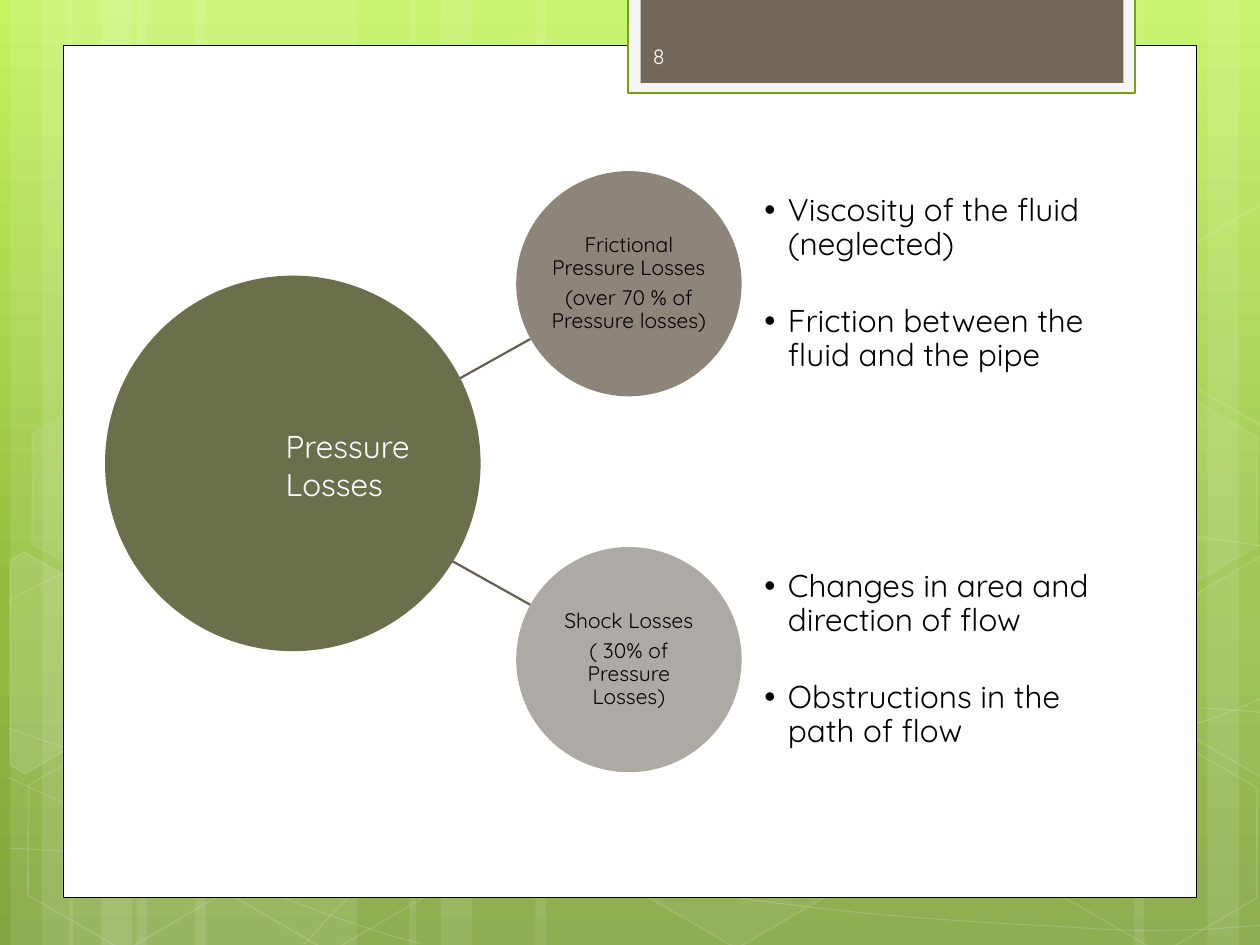
from copy import deepcopy
from dataclasses import dataclass
from math import cos, radians, sin
from typing import NamedTuple, Optional

from lxml.etree import SubElement
from pptx import Presentation
from pptx.dml.color import RGBColor
from pptx.enum.shapes import MSO_CONNECTOR, MSO_SHAPE
from pptx.enum.text import MSO_ANCHOR, MSO_AUTO_SIZE, PP_ALIGN
from pptx.oxml.ns import qn
from pptx.util import Pt


@dataclass(frozen=True)
class Theme:
    font: str = "Quicksand"
    white: str = "FFFFFF"
    black: str = "000000"
    number: str = "FEFEFE"
    frame: str = "F5F5F5"
    green: str = "74A510"
    tab: str = "71685A"
    link: str = "675E52"
    root: str = "6C6F4C"
    friction: str = "8D8579"
    shock: str = "ADAAA5"
    gradient: tuple = ((0, "C3F35F"), (0.62, "93BF3F"), (1, "81A53E"))
    small: float = 12
    large: float = 18


class Box(NamedTuple):
    left: float
    top: float
    width: float
    height: float

    def lengths(self) -> list:
        return [Pt(value) for value in self]


class Paint(NamedTuple):
    fill: Optional[str] = None
    fill_alpha: int = 100
    line: Optional[str] = None
    width: float = 1
    line_alpha: int = 100


class Hexagon(NamedTuple):
    left: float
    top: float
    fill_alpha: int
    line_alpha: int


class CutHexagon(NamedTuple):
    center: tuple
    points: tuple
    rise: float
    fill_alpha: int


class Branch(NamedTuple):
    top: float
    color: str
    link_start: float
    link_end: float
    label: tuple
    causes: tuple


THEME = Theme()
SLIDE_WIDTH, SLIDE_HEIGHT = 720, 540
HEXAGON_ANGLE = 30

BARS = ((78, 126), (6, 36), (24, 60), (111.6, 126), (39.6, 36), (57.6, 60),
        (528, 126), (690, 36), (648, 60), (306, 222), (234, 36), (252, 60))

CURVES = (
    ((5, 484.6), (43.9, 486.7), (82.8, 488.9), (136.8, 488.2), (190.8, 487.4), (257.8, 486),
     (329.8, 478.8), (401.8, 471.6), (504, 457.9), (570.2, 444.2), (635.8, 430.6),
     (703.4, 409), (725, 396.7)),
    ((5, 343.4), (25.9, 331.9), (46.8, 321.1), (87.1, 310.3), (128.2, 299.5), (186.5, 283.7),
     (249.8, 278.6), (313.9, 273.6), (391.7, 272.9), (470.9, 278.6), (550.1, 284.4),
     (681.8, 306.7), (725, 312.5)),
    ((4.3, 444.2), (91.4, 483.8), (177.8, 523.4), (240.5, 539.3)),
    ((5, 416.2), (27.4, 424.1), (50.4, 432), (92.2, 443.5), (133.9, 454.3), (196.6, 472.3),
     (257, 484.6), (316.8, 496.8), (392.4, 509.8), (452.2, 517), (511.9, 524.9), (576, 527.8),
     (614.2, 529.9), (651.6, 532.8), (661.7, 531.4), (680.4, 531.4), (699.1, 530.6),
     (712.1, 529.2), (725, 528.5)),
    ((174.2, 539.3), (187.2, 524.9), (200.2, 510.5), (217.4, 497.5), (234.7, 484.6),
     (259.2, 470.2), (279.4, 460.1), (299.5, 450), (311.8, 445.7), (338.4, 438.5),
     (364.3, 431.3), (412.6, 421.2), (437.8, 416.2), (463.7, 411.1), (467.3, 411.1),
     (489.6, 409.7), (511.9, 407.5), (547.2, 405.4), (571.7, 404.6), (597.6, 403.9),
     (637.9, 404.6), (637.9, 404.6), (637.9, 404.6), (686.2, 404.6), (686.2, 404.6),
     (699.1, 405.4), (711.4, 406.1), (717.8, 406.8), (724.3, 407.5), (722.2, 406.8),
     (724.3, 407.5)),
)

HEXAGONS = (
    Hexagon(240.5, 25.9, 4, 8), Hexagon(357.8, 424.1, 6, 12), Hexagon(7.9, 425.5, 0, 12),
    Hexagon(10.1, 224.6, 7, 8), Hexagon(125.3, 426.2, 0, 12), Hexagon(542.2, 326.2, 10, 12),
    Hexagon(600.5, 427, 0, 12), Hexagon(600.5, 226.1, 7, 8),
)
LEFT_EDGE = ((5.8, 320.4), (13.7, 315.4), (69.1, 347), (68.4, 410.4), (14.4, 442.1), (5.8, 437))
RIGHT_EDGE = ((666.7, 349.2), (720.7, 317.5), (726.5, 321.1), (726.5, 441.4), (721.4, 444.2),
              (666.7, 412.6))
CUT_HEXAGONS = (
    CutHexagon((25.9, 385.2), LEFT_EDGE, 0, 10),
    CutHexagon((709.2, 374.4), RIGHT_EDGE, 0, 4),
    CutHexagon((709.2, 374.4), RIGHT_EDGE, 200.8, 0),
)

BRANCHES = (
    Branch(97.8, THEME.friction, 227.5, 193.7,
           ("Frictional Pressure Losses", "(over 70 % of Pressure losses)"),
           ("Viscosity of the fluid (neglected)", "Friction between the fluid and the pipe")),
    Branch(312.6, THEME.shock, 311.8, 345.6,
           ("Shock Losses", "( 30% of Pressure Losses)"),
           ("Changes in area and direction of flow", "Obstructions in the path of flow")),
)


def apply_color(fill, parent, color: str, alpha: int) -> None:
    fill.solid()
    fill.fore_color.rgb = RGBColor.from_string(color)
    if alpha < 100:
        element = parent.find(qn("a:solidFill")).find(qn("a:srgbClr"))
        SubElement(element, qn("a:alpha"), val=str(alpha * 1000))


def paint_shape(shape, paint: Paint) -> None:
    shape.shadow.inherit = False
    properties = shape.element.spPr
    if paint.fill and paint.fill_alpha:
        apply_color(shape.fill, properties, paint.fill, paint.fill_alpha)
    else:
        shape.fill.background()
    if paint.line:
        shape.line.width = Pt(paint.width)
        apply_color(shape.line.fill, properties.find(qn("a:ln")), paint.line, paint.line_alpha)
    else:
        shape.line.fill.background()


def draw_shape(slide, kind: MSO_SHAPE, box: Box, paint: Paint):
    shape = slide.shapes.add_shape(kind, *box.lengths())
    paint_shape(shape, paint)
    return shape


def draw_outline(slide, points, paint: Paint, close: bool):
    vertices = [(Pt(x), Pt(y)) for x, y in points]
    builder = slide.shapes.build_freeform(*vertices[0], scale=1.0)
    builder.add_line_segments(vertices[1:], close=close)
    shape = builder.convert_to_shape()
    paint_shape(shape, paint)
    return shape


def draw_curve(slide, points) -> None:
    paint = Paint(line=THEME.white, width=0.5, line_alpha=20)
    shape = draw_outline(slide, points, paint, False)
    segments = list(shape.element.iter(qn("a:lnTo")))
    outline = segments[0].getparent()
    for first in range(0, len(segments), 3):
        curve = SubElement(outline, qn("a:cubicBezTo"))
        for segment in segments[first:first + 3]:
            curve.append(segment[0])
            outline.remove(segment)


def draw_cut_hexagon(slide, hexagon: CutHexagon) -> None:
    center_x, center_y = hexagon.center
    cosine, sine = cos(radians(HEXAGON_ANGLE)), sin(radians(HEXAGON_ANGLE))
    points = []
    for x, y in hexagon.points:
        across, down = x - center_x, y - center_y
        points.append((center_x + across * cosine + down * sine,
                       center_y - across * sine + down * cosine - hexagon.rise))
    paint = Paint(THEME.white, hexagon.fill_alpha, THEME.white, 1, 12)
    draw_outline(slide, points, paint, True).rotation = HEXAGON_ANGLE


def prepare_frame(shape, inset: float, anchor: MSO_ANCHOR):
    frame = shape.text_frame
    frame.word_wrap = True
    frame.auto_size = MSO_AUTO_SIZE.NONE
    frame.vertical_anchor = anchor
    frame.margin_left = frame.margin_right = Pt(inset)
    frame.margin_top = frame.margin_bottom = Pt(min(inset, 3.6))
    return frame


def write_paragraphs(frame, texts, size: float, color: str, gap: float = 0, spacing: float = 1,
                     alignment: PP_ALIGN = PP_ALIGN.LEFT, bullet_indent: float = 0) -> None:
    for index, text in enumerate(texts):
        paragraph = frame.add_paragraph() if index else frame.paragraphs[0]
        paragraph.alignment = alignment
        paragraph.line_spacing = spacing
        paragraph.space_before = Pt(gap if index else 0)
        if bullet_indent:
            properties = paragraph._p.get_or_add_pPr()
            properties.set("marL", str(Pt(bullet_indent)))
            properties.set("indent", str(-Pt(bullet_indent)))
            SubElement(properties, qn("a:buChar"), char="•")
        run = paragraph.add_run()
        run.text = text
        run.font.name = THEME.font
        run.font.size = Pt(size)
        run.font.color.rgb = RGBColor.from_string(color)


def draw_text(slide, box: Box, text: str, size: float, color: str, anchor: MSO_ANCHOR) -> None:
    shape = slide.shapes.add_textbox(*box.lengths())
    write_paragraphs(prepare_frame(shape, 7.2, anchor), (text,), size, color)


def draw_background(slide) -> None:
    fill = slide.background.fill
    fill.gradient()
    fill.gradient_angle = 270
    first_stop = next(slide.element.iter(qn("a:gs")))
    first_stop.addnext(deepcopy(first_stop))
    for stop, (position, color) in zip(fill.gradient_stops, THEME.gradient):
        stop.position = position
        stop.color.rgb = RGBColor.from_string(color)
    for left, width in BARS:
        draw_shape(slide, MSO_SHAPE.RECTANGLE, Box(left, 0, width, SLIDE_HEIGHT),
                   Paint(THEME.white, 10))
    for curve in CURVES:
        draw_curve(slide, curve)
    for hexagon in HEXAGONS:
        shape = draw_shape(slide, MSO_SHAPE.HEXAGON, Box(hexagon.left, hexagon.top, 126, 109.4),
                           Paint(THEME.white, hexagon.fill_alpha, THEME.white, 1, hexagon.line_alpha))
        shape.adjustments[0] = 0.285
        shape.rotation = HEXAGON_ANGLE
    for cut_hexagon in CUT_HEXAGONS:
        draw_cut_hexagon(slide, cut_hexagon)


def draw_panel(slide) -> None:
    for box, paint in (
        (Box(36, 25.9, 648, 487.2), Paint(THEME.white, line=THEME.black, width=0.5)),
        (Box(359, -1.4, 289.6, 54.7), Paint(THEME.frame, line=THEME.green, width=1.25)),
        (Box(366.1, -1.4, 275.9, 48.8), Paint(THEME.tab)),
    ):
        draw_shape(slide, MSO_SHAPE.RECTANGLE, box, paint)


def draw_link(slide, branch: Branch) -> None:
    link = slide.shapes.add_connector(MSO_CONNECTOR.STRAIGHT, Pt(242.6), Pt(branch.link_start),
                                      Pt(303.1), Pt(branch.link_end))
    link.line.width = Pt(1.25)
    link.line.color.rgb = RGBColor.from_string(THEME.link)
    SubElement(link.element.spPr, qn("a:effectLst"))


def draw_branch(slide, branch: Branch, causes_list) -> None:
    circle = draw_shape(slide, MSO_SHAPE.OVAL, Box(295, branch.top, 128.8, 128.7),
                        Paint(branch.color))
    write_paragraphs(prepare_frame(circle, 0.6, MSO_ANCHOR.MIDDLE), branch.label, THEME.small,
                     THEME.black, gap=4.2, spacing=0.9, alignment=PP_ALIGN.CENTER)
    box = Box(436.8, branch.top, 193, 128.7)
    causes_list.left, causes_list.top, causes_list.width, causes_list.height = box.lengths()
    write_paragraphs(prepare_frame(causes_list, 0, MSO_ANCHOR.MIDDLE), branch.causes, THEME.large,
                     THEME.black, gap=24.6, spacing=0.9, bullet_indent=13.5)
    causes_list.element.getparent().append(causes_list.element)


def main() -> None:
    presentation = Presentation()
    presentation.slide_width, presentation.slide_height = Pt(SLIDE_WIDTH), Pt(SLIDE_HEIGHT)
    slide = presentation.slides.add_slide(presentation.slide_layouts[3])
    title, *causes_lists = slide.placeholders
    title.element.getparent().remove(title.element)
    draw_background(slide)
    draw_panel(slide)
    for branch in BRANCHES:
        draw_link(slide, branch)
    draw_shape(slide, MSO_SHAPE.OVAL, Box(60, 157.5, 214.6, 214.6), Paint(THEME.root))
    for branch, causes_list in zip(BRANCHES, causes_lists):
        draw_branch(slide, branch, causes_list)
    draw_text(slide, Box(156.2, 240.5, 131.8, 28.8), "Pressure Losses", THEME.large, THEME.white,
              MSO_ANCHOR.TOP)
    draw_text(slide, Box(366, 17.7, 105, 28.8), "8", THEME.small, THEME.number, MSO_ANCHOR.MIDDLE)
    presentation.save("out.pptx")


if __name__ == "__main__":
    main()
